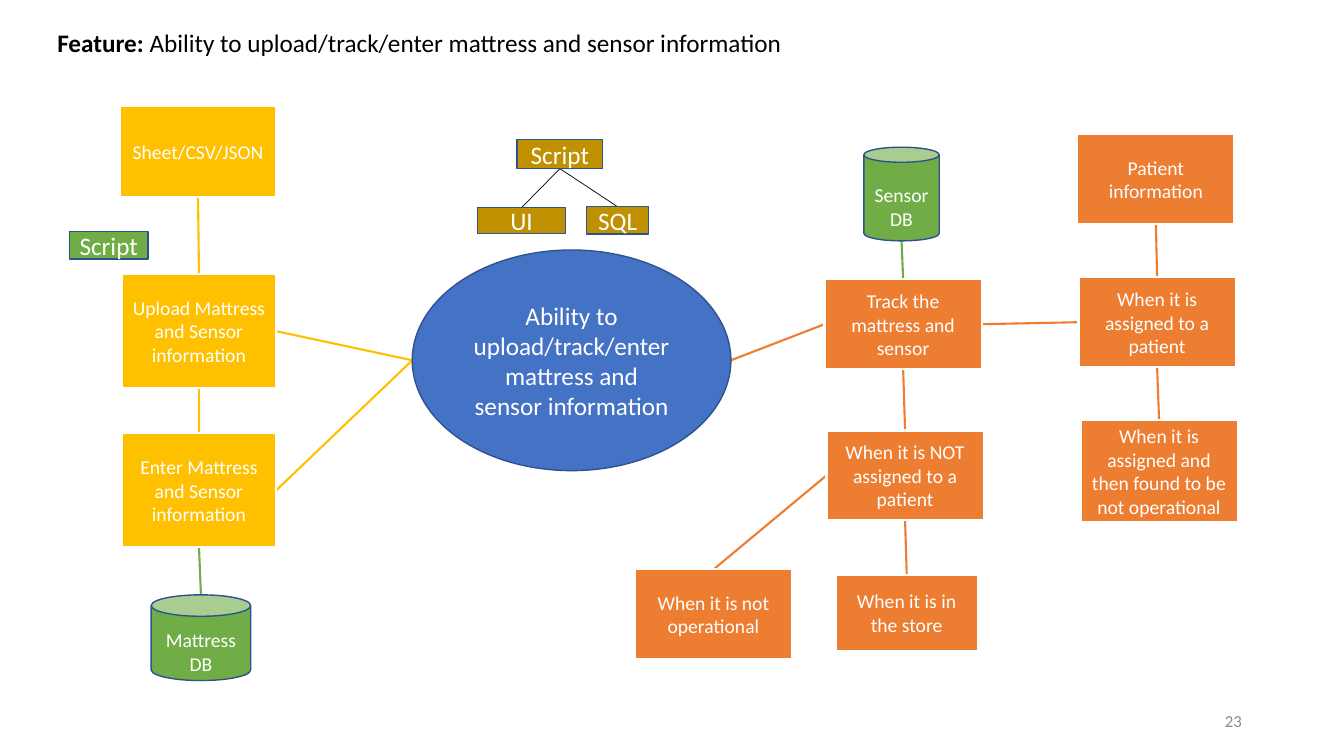
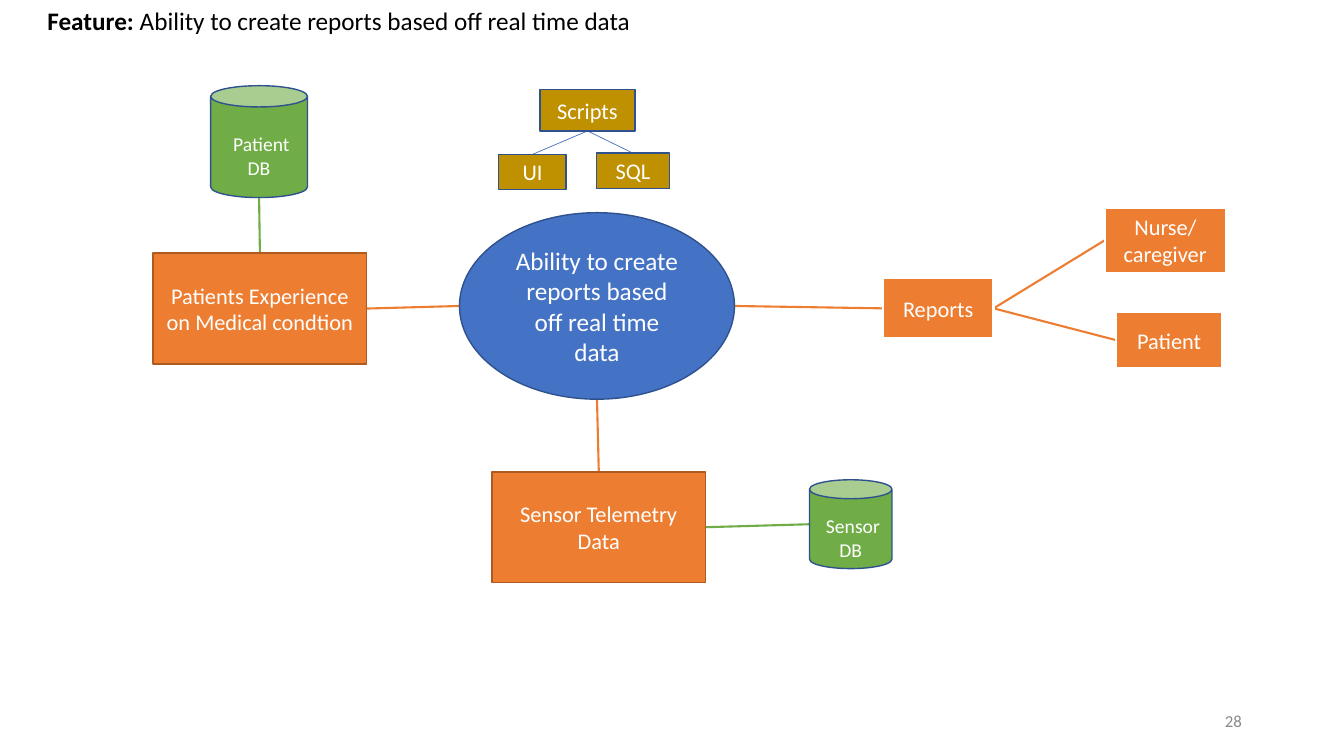
from lxml import etree
from pptx import Presentation
from pptx.dml.color import RGBColor
from pptx.enum.shapes import MSO_CONNECTOR, MSO_SHAPE
from pptx.enum.text import MSO_ANCHOR, MSO_AUTO_SIZE, PP_ALIGN
from pptx.oxml.ns import qn
from pptx.util import Cm, Pt

RECT, OVAL, CAN = MSO_SHAPE.RECTANGLE, MSO_SHAPE.OVAL, MSO_SHAPE.CAN
LINE = MSO_CONNECTOR.STRAIGHT
LEFT, MID, RIGHT = PP_ALIGN.LEFT, PP_ALIGN.CENTER, PP_ALIGN.RIGHT
HIGH, CORE = MSO_ANCHOR.TOP, MSO_ANCHOR.MIDDLE
FIXED = MSO_AUTO_SIZE.NONE

FONT = "Calibri"
WHITE, BLACK, GRAY = "FFFFFF", "000000", "898989"
BLUE, NAVY = "4472C4", "2F528F"
GOLD, AMBER = "BF9000", "FFC000"
GREEN, RUST, BROWN = "70AD47", "ED7D31", "AE5A21"
TOP, WEST, BASE, EAST = range(4)


def tint(code):
    return RGBColor.from_string(code)


def write(frame, text, size=14, color=WHITE, bold=False, align=MID, anchor=CORE):
    frame.word_wrap = True
    frame.auto_size = FIXED
    frame.vertical_anchor = anchor
    para = frame.paragraphs[0]
    para.alignment = align
    para.line_spacing = 1.0
    run = para.add_run()
    run.text = text
    font = run.font
    font.name, font.size, font.bold = FONT, Pt(size), bold
    font.color.rgb = tint(color)


def place(shape, spot):
    shape.left, shape.top, shape.width, shape.height = map(Cm, spot)


def node(slide, text, spot, fill=RUST, edge=WHITE, width=1.5, size=14, kind=RECT):
    shape = slide.shapes.add_shape(kind, *map(Cm, spot))
    shape.shadow.inherit = False
    shape.fill.solid()
    shape.fill.fore_color.rgb = tint(fill)
    shape.line.color.rgb = tint(edge)
    shape.line.width = Pt(width)
    write(shape.text_frame, text, size)
    return shape


def oval(slide, text, spot):
    return node(slide, text, spot, BLUE, NAVY, 1, 18, OVAL)


def store(slide, text, spot, lid):
    shape = node(slide, text, spot, GREEN, NAVY, 1, kind=CAN)
    shape.adjustments[0] = lid
    shape.text_frame.margin_top = Cm(0.56)
    return shape


def tag(slide, text, spot, size=18, fill=GOLD):
    return node(slide, text, spot, fill, NAVY, 1, size)


def side(shape, site):
    x, y, w, h = shape.left, shape.top, shape.width, shape.height
    return ((x + w // 2, y), (x, y + h // 2),
            (x + w // 2, y + h), (x + w, y + h // 2))[site]


def link(slide, start, out, stop, into, color=RUST, width=1.5):
    line = slide.shapes.add_connector(LINE, *side(start, out), *side(stop, into))
    if start.auto_shape_type == RECT:
        line.begin_connect(start, out)
    if stop.auto_shape_type == RECT:
        line.end_connect(stop, into)
    line.line.color.rgb = tint(color)
    line.line.width = Pt(width)
    item = line.element
    etree.SubElement(item.spPr, qn("a:effectLst"))
    item.getparent().insert(2, item)


def fork(slide, head, parts, color):
    for part in parts:
        link(slide, head, BASE, part, TOP, color, 0.5)


def start(deck, text, spot, page):
    slide = deck.slides.add_slide(deck.slide_layouts[5])
    title = slide.shapes.title
    place(title, spot)
    for words, bold in (("Feature: ", True), (text, False)):
        write(title.text_frame, words, 18, BLACK, bold, LEFT, HIGH)
    box = slide.shapes.add_textbox(*map(Cm, (23.93, 17.65, 7.62, 1.02)))
    write(box.text_frame, page, 12, GRAY, align=RIGHT)
    return slide


def upload(deck):
    topic = "Ability to upload/track/enter mattress and sensor information"
    slide = start(deck, topic, (1.19, 0.56, 31.6, 1.02), "23")
    hub = oval(slide, topic, (10.39, 6.3, 8.03, 5.56))

    tag(slide, "Script", (1.75, 5.84, 1.98, 0.69), fill=GREEN)
    script = tag(slide, "Script", (13.03, 3.51, 2.16, 0.74))
    parts = [tag(slide, "UI", (12.04, 5.23, 2.21, 0.66)),
             tag(slide, "SQL", (14.78, 5.21, 1.57, 0.69))]
    fork(slide, script, parts, BLACK)

    files = node(slide, "Sheet/CSV/JSON", (3.02, 2.67, 3.94, 2.29), AMBER)
    load, enter = [
        node(slide, f"{verb} Mattress and Sensor information",
             (3.07, y, 3.89, 2.87), AMBER)
        for verb, y in (("Upload", 6.91), ("Enter", 10.92))]
    beds = store(slide, "Mattress DB", (3.81, 14.99, 2.51, 2.16), 0.25)
    link(slide, files, BASE, load, TOP, AMBER)
    link(slide, load, BASE, enter, TOP, AMBER)
    link(slide, enter, BASE, beds, TOP, GREEN)
    for step in (load, enter):
        link(slide, step, EAST, hub, WEST, AMBER)

    sensor = store(slide, "Sensor DB", (21.77, 3.71, 1.9, 2.36), 0.2)
    size = (3.96, 2.26)
    track, free, broken, person, given = [
        node(slide, text, spot + size) for text, spot in (
            ("Track the mattress and sensor", (20.78, 7.04)),
            ("When it is NOT assigned to a patient", (20.83, 10.85)),
            ("When it is not operational", (16, 14.35)),
            ("Patient information", (27.15, 3.38)),
            ("When it is assigned to a patient", (27.18, 6.99)))]
    stock = node(slide, "When it is in the store", (21.06, 14.48, 3.58, 1.93))
    failed = node(slide, "When it is assigned and then found to be not operational",
                  (27.23, 10.59, 3.96, 2.57))
    link(slide, sensor, BASE, track, TOP, GREEN)
    for ends in ((hub, EAST, track, WEST), (track, EAST, given, WEST),
                 (track, BASE, free, TOP), (free, WEST, broken, TOP),
                 (free, BASE, stock, TOP), (person, BASE, given, TOP),
                 (given, BASE, failed, TOP)):
        link(slide, *ends)


def report(deck):
    topic = "Ability to create reports based off real time data"
    slide = start(deck, topic, (0.94, 0, 31.7, 1.78), "28")
    hub = oval(slide, topic, (11.58, 5.36, 6.93, 4.7))

    script = tag(slide, "Scripts", (13.61, 2.26, 2.39, 1.04), 16)
    parts = [tag(slide, "UI", (12.57, 3.89, 1.7, 0.89), 16),
             tag(slide, "SQL", (15.04, 3.86, 1.83, 0.89), 16)]
    fork(slide, script, parts, BLUE)

    output, nurse, person = [
        node(slide, text, spot, size=16) for text, spot in (
            ("Reports", (22.25, 7.01, 2.79, 1.52)),
            ("Nurse/caregiver", (27.84, 5.23, 3.05, 1.65)),
            ("Patient", (28.12, 7.87, 2.69, 1.4)))]
    care, data = [
        node(slide, text, spot + (5.38, 2.79), RUST, BROWN, 1, 16)
        for text, spot in (
            ("Patients Experience on Medical condtion", (3.86, 6.38)),
            ("Sensor Telemetry Data", (12.4, 11.89)))]
    sensor = store(slide, " Sensor DB", (20.4, 12.09, 2.08, 2.24), 0.23)
    people = store(slide, " Patient DB", (5.31, 2.16, 2.44, 2.82), 0.22)
    link(slide, people, BASE, care, TOP, GREEN)
    link(slide, data, EAST, sensor, WEST, GREEN)
    for ends in ((care, EAST, hub, WEST), (hub, BASE, data, TOP),
                 (hub, EAST, output, WEST), (output, EAST, nurse, WEST),
                 (output, EAST, person, WEST)):
        link(slide, *ends)


def main():
    deck = Presentation()
    deck.slide_width, deck.slide_height = Cm(33.87), Cm(19.05)
    upload(deck)
    report(deck)
    deck.save("out.pptx")


if __name__ == "__main__":
    main()
